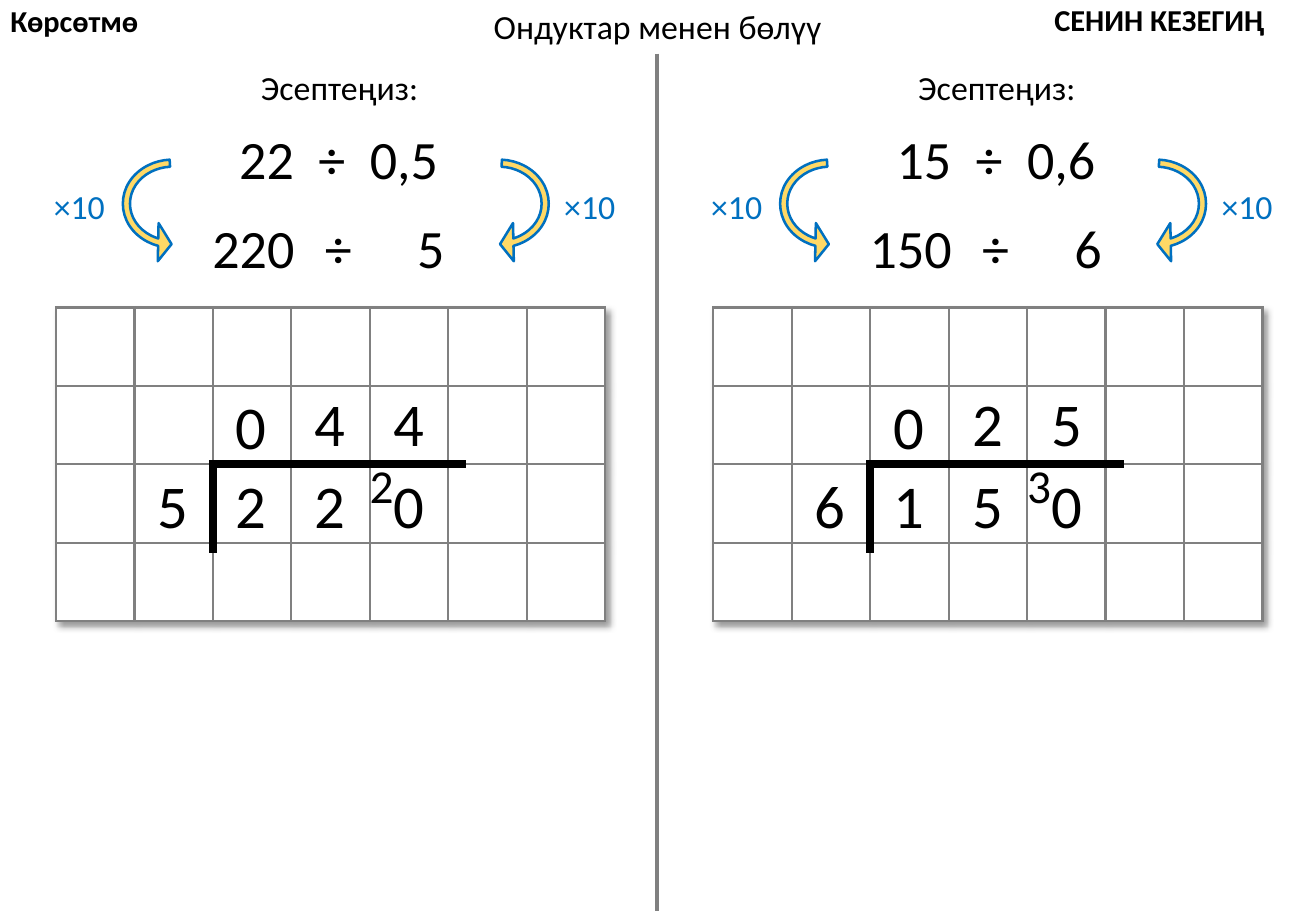
from dataclasses import dataclass

from lxml.etree import SubElement
from pptx import Presentation
from pptx.dml.color import RGBColor
from pptx.enum.shapes import MSO_CONNECTOR, MSO_SHAPE
from pptx.enum.text import MSO_ANCHOR, MSO_AUTO_SIZE, PP_ALIGN
from pptx.oxml import parse_xml
from pptx.oxml.ns import nsdecls, qn
from pptx.shapes.base import BaseShape
from pptx.slide import Slide
from pptx.util import Cm, Pt

BLACK, GRAY, WHITE = "000000", "808080", "FFFFFF"
BLUE, YELLOW = "0070C0", "FFD966"
PANEL_STEP = 13.74
GRID_COLUMNS, GRID_ROWS, GRID_CELL = 7, 4, 1.64
DIGIT_LEFT, DIGIT_STEP = 3.02, 1.65
ARROW_ADJUSTMENTS = (0.06, 11.42, 203.85, 110.16, 0.16)


@dataclass
class Label:
    text: str
    left: float
    top: float
    width: float
    height: float
    size: int
    color: str = BLACK
    bold: bool = False
    align: PP_ALIGN = PP_ALIGN.CENTER


@dataclass
class Problem:
    decimal_division: str
    dividend: str
    divisor: str
    quotient: str
    carry: str


PROBLEMS = (
    Problem("22 ÷ 0,5", "220", "5", "044", "2"),
    Problem("15 ÷ 0,6", "150", "6", "025", "3"),
)
TITLE = Label("Ондуктар менен бөлүү", 10.03, 0, 7.44, 1.12, 20)
CORNERS = (
    Label("Көрсөтмө", -0.03, -0.08, 3.51, 1.02, 18, BLACK, True, PP_ALIGN.LEFT),
    Label("СЕНИН КЕЗЕГИҢ", 21.79, -0.1, 5.72, 1.02, 18, BLACK, True, PP_ALIGN.LEFT),
)


def rgb(color: str) -> RGBColor:
    return RGBColor.from_string(color)


def fill_text(shape: BaseShape, label: Label) -> None:
    shape.left, shape.top = Cm(label.left), Cm(label.top)
    shape.width, shape.height = Cm(label.width), Cm(label.height)
    frame = shape.text_frame
    frame.text = label.text
    frame.word_wrap = False
    frame.auto_size = MSO_AUTO_SIZE.SHAPE_TO_FIT_TEXT
    frame.vertical_anchor = MSO_ANCHOR.TOP
    paragraph = frame.paragraphs[0]
    paragraph.alignment = label.align
    for run in paragraph.runs:
        run.font.name = "Calibri"
        run.font.size = Pt(label.size)
        run.font.bold = label.bold
        run.font.color.rgb = rgb(label.color)


def add_label(slide: Slide, label: Label) -> BaseShape:
    shape = slide.shapes.add_textbox(0, 0, 0, 0)
    fill_text(shape, label)
    return shape


def add_spaced_label(slide: Slide, label: Label) -> None:
    paragraph = add_label(slide, label).text_frame.paragraphs[0]
    first, *others = label.text.split(" ")
    font = paragraph.runs[0].font
    paragraph.runs[0].text = first
    for word in others:
        for piece in (" ", word):
            run = paragraph.add_run()
            run.text = piece
            run.font.name, run.font.size = font.name, font.size
            run.font.color.rgb = font.color.rgb
            if piece == " ":
                run._r.get_or_add_rPr().set("spc", "720")


def add_line(slide: Slide, start: tuple[float, float], end: tuple[float, float],
             color: str, width: float) -> None:
    line = slide.shapes.add_connector(
        MSO_CONNECTOR.STRAIGHT, *(Cm(value) for value in start + end))
    line.line.color.rgb = rgb(color)
    line.line.width = Pt(width)
    SubElement(line._element.spPr, qn("a:effectLst"))


def add_arrow(slide: Slide, left: float, flipped: bool) -> None:
    arrow = slide.shapes.add_shape(
        MSO_SHAPE.CIRCULAR_ARROW, Cm(left), Cm(2.9), Cm(2.49), Cm(2.72))
    for index, value in enumerate(ARROW_ADJUSTMENTS):
        arrow.adjustments[index] = value
    arrow.rotation = 90
    if flipped:
        arrow._element.spPr.find(qn("a:xfrm")).set("flipV", "1")
    arrow.shadow.inherit = False
    arrow.fill.solid()
    arrow.fill.fore_color.rgb = rgb(YELLOW)
    arrow.line.color.rgb = rgb(BLUE)
    arrow.line.width = Pt(1.5)


def add_grid(slide: Slide, left: float, top: float) -> None:
    table = slide.shapes.add_table(
        GRID_ROWS, GRID_COLUMNS, Cm(left), Cm(top),
        Cm(GRID_COLUMNS * GRID_CELL), Cm(GRID_ROWS * GRID_CELL)).table
    table.first_row = table.horz_banding = False
    for column in table.columns:
        column.width = Cm(GRID_CELL)
    for row in table.rows:
        row.height = Cm(GRID_CELL)
    table._tbl.tblPr.insert(0, parse_xml(
        f'<a:effectLst {nsdecls("a")}><a:outerShdw blurRad="50800" dist="38100" '
        'dir="2700000" algn="tl" rotWithShape="0"><a:prstClr val="black">'
        '<a:alpha val="40000"/></a:prstClr></a:outerShdw></a:effectLst>'))
    for cell in table.iter_cells():
        properties = cell._tc.get_or_add_tcPr()
        for side in ("lnL", "lnR", "lnT", "lnB"):
            properties.append(parse_xml(
                f'<a:{side} {nsdecls("a")} w="{Pt(1.5)}"><a:solidFill>'
                f'<a:srgbClr val="{GRAY}"/></a:solidFill></a:{side}>'))
        cell.fill.solid()
        cell.fill.fore_color.rgb = rgb(WHITE)


def add_digit(slide: Slide, digit: str, origin: float, column: int, top: float) -> None:
    left = origin + DIGIT_LEFT + column * DIGIT_STEP
    add_label(slide, Label(digit, left, top, 1.17, 1.8, 36))


def add_problem(slide: Slide, problem: Problem, origin: float) -> None:
    add_grid(slide, origin + 1.17, 6.43)
    add_line(slide, (origin + 4.37, 9.7), (origin + 9.75, 9.7), BLACK, 4.5)
    add_line(slide, (origin + 4.45, 9.68), (origin + 4.45, 11.56), BLACK, 4.5)
    add_spaced_label(
        slide, Label(problem.decimal_division, origin + 4.72, 2.51, 4.72, 1.63, 32))
    for label in (
        Label("Эсептеңиз:", origin + 5.18, 1.27, 3.84, 1.12, 20),
        Label(problem.dividend, origin + 4.17, 4.37, 2.26, 1.63, 32),
        Label("÷", origin + 6.53, 4.37, 1.09, 1.63, 32),
        Label(problem.divisor, origin + 8.46, 4.37, 1.09, 1.63, 32),
        Label(problem.carry, origin + 7.47, 9.42, 1.02, 1.45, 28),
    ):
        add_label(slide, label)
    for arrow_left, factor_left, flipped in ((2.36, 0.86, True), (9.19, 11.53, False)):
        add_arrow(slide, origin + arrow_left, flipped)
        add_label(slide, Label("×10", origin + factor_left, 3.76, 1.6, 1.12, 20, BLUE))
    for column, digit in enumerate(problem.divisor + problem.dividend):
        add_digit(slide, digit, origin, column, 9.65)
    for column, digit in enumerate(problem.quotient, start=1):
        add_digit(slide, digit, origin, column, 8 if column == 1 else 7.95)


def main() -> None:
    presentation = Presentation()
    presentation.slide_width, presentation.slide_height = Cm(27.51), Cm(19.05)
    slide = presentation.slides.add_slide(presentation.slide_layouts.get_by_name("Title Only"))
    fill_text(slide.shapes.title, TITLE)
    add_line(slide, (13.74, 1.12), (13.74, 19.05), GRAY, 2.25)
    for index, problem in enumerate(PROBLEMS):
        add_problem(slide, problem, index * PANEL_STEP)
    for corner in CORNERS:
        add_label(slide, corner)
    presentation.save("out.pptx")


if __name__ == "__main__":
    main()
